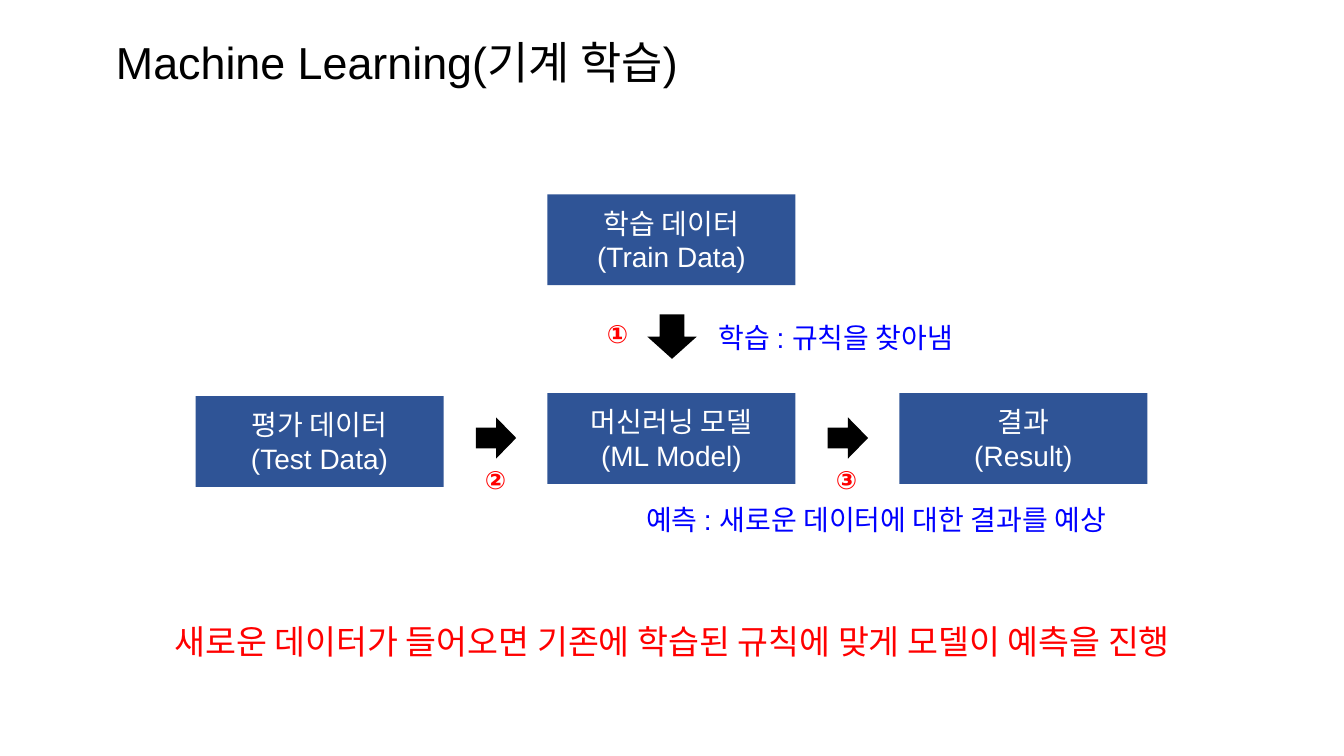
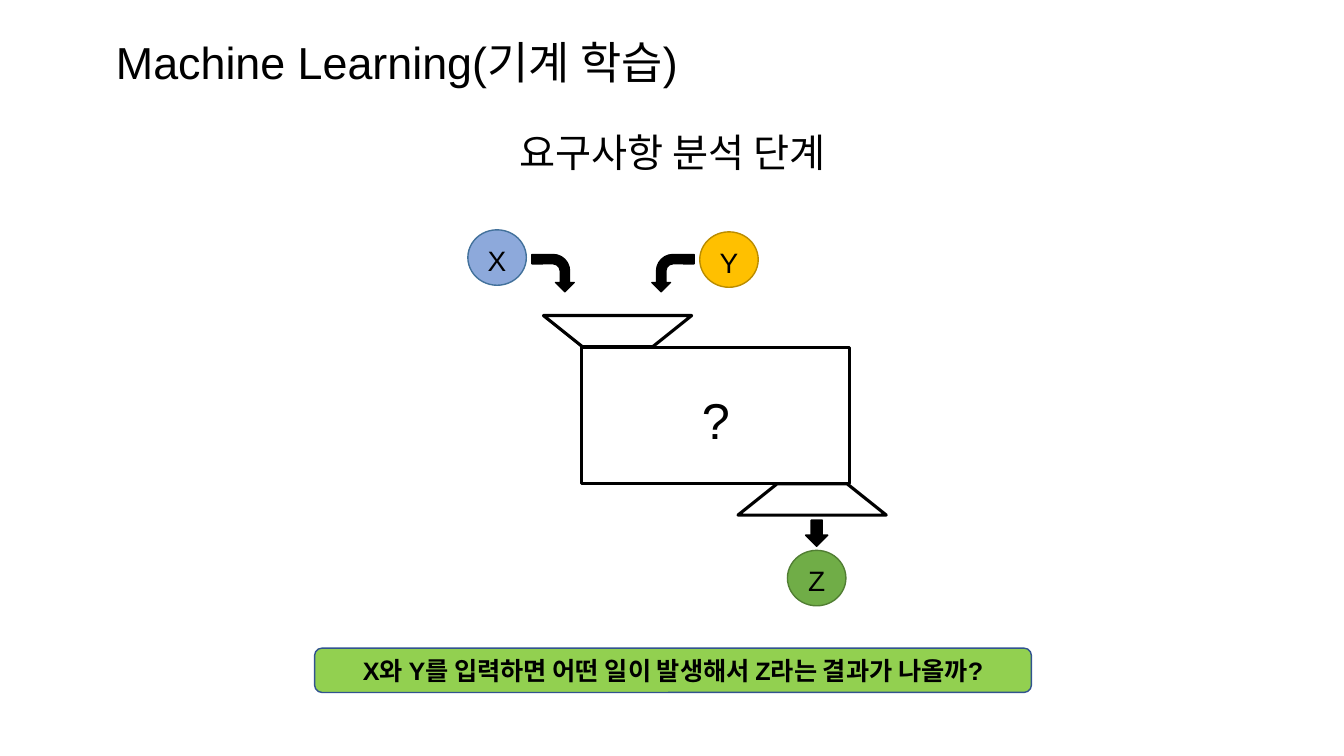
from dataclasses import dataclass
from typing import Optional

from pptx import Presentation
from pptx.dml.color import RGBColor
from pptx.enum.shapes import MSO_SHAPE
from pptx.enum.text import MSO_ANCHOR, MSO_AUTO_SIZE, PP_ALIGN
from pptx.util import Inches, Pt

CELL = 0.1
FONT = "Arial"
TITLE = "Machine Learning(기계 학습)"
HEX = {
    "black": "000000", "white": "FFFFFF", "red": "FF0000", "blue": "0000FF",
    "navy": "2F5496", "sky": "8DA9DB", "steel": "42719B", "gold": "FFC000",
    "ochre": "BA8C00", "green": "70AD47", "moss": "517E33", "lime": "92D050",
    "edge": "31538F",
}


@dataclass(frozen=True)
class Area:
    col: float
    row: float
    cols: float
    rows: float


@dataclass(frozen=True)
class Type:
    size: float
    color: str = "black"
    bold: bool = False
    align: PP_ALIGN = PP_ALIGN.CENTER


@dataclass(frozen=True)
class Note:
    text: str
    area: Area
    style: Type


@dataclass(frozen=True)
class Form:
    kind: MSO_SHAPE
    area: Area
    fill: str
    line: Optional[str] = None
    width: float = 1
    text: str = ""
    style: Type = Type(20)
    turn: float = 0
    flip: bool = False
    adjust: tuple[float, ...] = ()
    drop: float = 0.05


HEAD = Type(32, align=PP_ALIGN.LEFT)
BOX = Type(20, "white")
HINT = Type(20, "blue", align=PP_ALIGN.LEFT)
STEP = Type(18, "red", True)


def color(name: str) -> RGBColor:
    return RGBColor.from_string(HEX[name])


def place(area: Area) -> tuple:
    return tuple(Inches(n * CELL) for n in (area.col, area.row, area.cols, area.rows))


def write(frame, text: str, style: Type) -> None:
    frame.word_wrap = True
    frame.text = text
    for para in frame.paragraphs:
        para.alignment = style.align
        font = para.font
        font.name, font.size, font.bold = FONT, Pt(style.size), style.bold
        font.color.rgb = color(style.color)


def add_note(slide, note: Note) -> None:
    box = slide.shapes.add_textbox(*place(note.area))
    write(box.text_frame, note.text, note.style)


def add_form(slide, form: Form) -> None:
    shape = slide.shapes.add_shape(form.kind, *place(form.area))
    shape.shadow.inherit = False
    shape.fill.solid()
    shape.fill.fore_color.rgb = color(form.fill)
    if form.line:
        shape.line.color.rgb = color(form.line)
        shape.line.width = Pt(form.width)
    else:
        shape.line.fill.background()
    shape.rotation = form.turn
    if form.flip:
        shape._element.spPr.xfrm.set("flipH", "1")
    for i, value in enumerate(form.adjust):
        shape.adjustments[i] = value
    if form.text:
        frame = shape.text_frame
        frame.vertical_anchor = MSO_ANCHOR.MIDDLE
        frame.margin_top = Inches(form.drop)
        write(frame, form.text, form.style)


def add_page(deck, forms: list[Form], notes: list[Note]) -> None:
    slide = deck.slides.add_slide(deck.slide_layouts[5])
    title = slide.shapes.title
    title.left, title.top, title.width, title.height = place(Area(10.5, 2.9, 61.9, 6.4))
    frame = title.text_frame
    frame.auto_size = MSO_AUTO_SIZE.NONE
    frame.vertical_anchor = MSO_ANCHOR.TOP
    write(frame, TITLE, HEAD)
    for form in forms:
        add_form(slide, form)
    for note in notes:
        add_note(slide, note)


def add_flow(deck) -> None:
    left, step = 19.4, 34.9
    boxes = [
        (1, 19.3, "학습 데이터\n(Train Data)"),
        (0, 39.3, "평가 데이터\n(Test Data)"),
        (1, 39, "머신러닝 모델\n(ML Model)"),
        (2, 39, "결과\n(Result)"),
    ]
    forms = [
        Form(MSO_SHAPE.RECTANGLE, Area(left + i * step, row, 24.6, 9), "navy",
             text=text, style=BOX)
        for i, row, text in boxes
    ]
    forms += [
        Form(MSO_SHAPE.RIGHT_ARROW, Area(47.2 + i * step, 41.4, 4, 4.1), "black")
        for i in range(2)
    ]
    forms.append(Form(MSO_SHAPE.DOWN_ARROW, Area(64.2, 31.2, 4.9, 4.4), "black"))
    marks = [("①", 58.8, 31.1), ("②", 46.7, 45.6), ("③", 81.5, 45.6)]
    notes = [Note(text, Area(col, row, 4.9, 4), STEP) for text, col, row in marks]
    notes += [
        Note("학습 : 규칙을 찾아냄", Area(70.3, 31.3, 26.3, 4.4), HINT),
        Note("예측 : 새로운 데이터에 대한 결과를 예상", Area(63.1, 49.4, 50.7, 4.4), HINT),
        Note("새로운 데이터가 들어오면 기존에 학습된 규칙에 맞게 모델이 예측을 진행",
             Area(12.7, 61.1, 107.9, 5), Type(24, "red")),
    ]
    add_page(deck, forms, notes)


def add_quiz(deck) -> None:
    balls = [
        ("X", 46.4, 22.8, "sky", "steel"),
        ("Y", 69.4, 23, "gold", "ochre"),
        ("Z", 78.1, 54.6, "green", "moss"),
    ]
    forms = [
        Form(MSO_SHAPE.OVAL, Area(col, row, 5.8, 5.5), fill, line, text=text, drop=0.1)
        for text, col, row, fill, line in balls
    ]
    forms.append(Form(MSO_SHAPE.RECTANGLE, Area(57.7, 34.5, 26.6, 13.5), "white", "black",
                      2.25, "?", Type(36), drop=0.12))
    forms += [
        Form(MSO_SHAPE.TRAPEZOID, Area(col, row, 14.7, 3.1), "white", "black", 2.25,
             turn=turn, adjust=(1.25,))
        for col, row, turn in [(53.9, 31.3, 180), (73.2, 48, 0)]
    ]
    forms += [
        Form(MSO_SHAPE.BENT_ARROW, Area(col, 25, 3.7, 4.2), "black", "black",
             turn=turn, flip=flip, adjust=(0.25, 0.25, 0.25, 0.44))
        for col, turn, flip in [(53, 90, False), (64.9, 270, True)]
    ]
    forms += [
        Form(MSO_SHAPE.DOWN_ARROW, Area(79.9, 51.6, 2.2, 2.6), "black", "black"),
        Form(MSO_SHAPE.ROUNDED_RECTANGLE, Area(31.2, 64.3, 71.1, 4.4), "lime", "edge",
             text="X와 Y를 입력하면 어떤 일이 발생해서 Z라는 결과가 나올까?",
             style=Type(18, bold=True)),
    ]
    notes = [Note("요구사항 분석 단계", Area(44.9, 12.2, 43.6, 5.7), Type(28))]
    add_page(deck, forms, notes)


def main() -> None:
    deck = Presentation()
    deck.slide_width, deck.slide_height = Inches(13.33), Inches(7.5)
    add_flow(deck)
    add_quiz(deck)
    deck.save("out.pptx")


if __name__ == "__main__":
    main()
